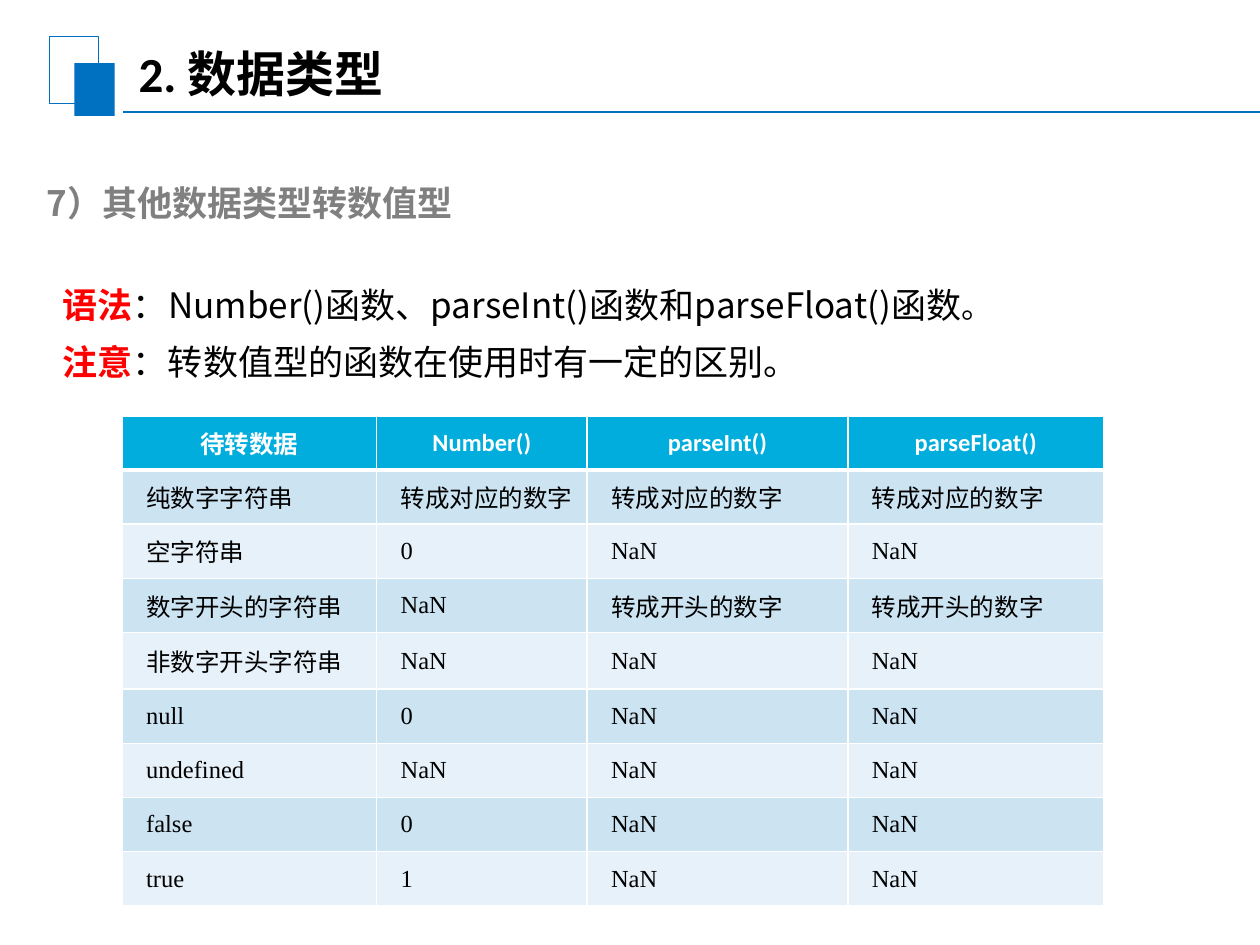
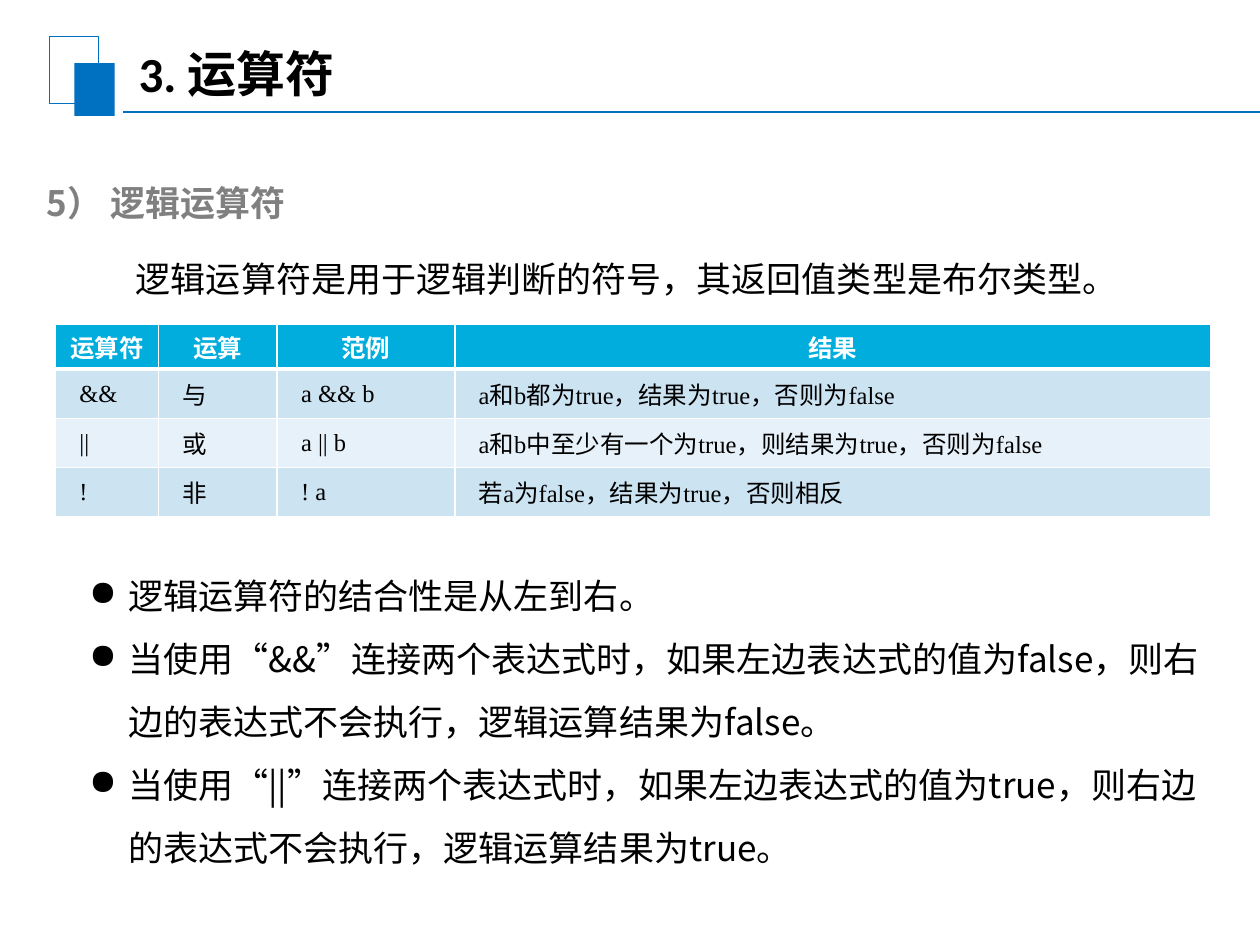
import pptx
import pptx.util
import pptx.dml.color
import pptx.enum.shapes
import pptx.enum.text
import pptx.oxml.ns
from lxml import etree

Inches = pptx.util.Inches
Pt = pptx.util.Pt
Align = pptx.enum.text.PP_ALIGN
Anchor = pptx.enum.text.MSO_ANCHOR
qn = pptx.oxml.ns.qn

HUES = {
    "blue": "0070C0", "cyan": "00ADDC", "dark": "CCE3F2", "light": "E7F1F9",
    "red": "FF0000", "gray": "808080", "black": "000000", "white": "FFFFFF",
}
SANS = "Noto Sans CJK SC"

# Text styles: font, size, colour, bold
STYLES = {
    "title": ("Calibri", 28, "black", True),
    "topic": (SANS, 20, "gray", True),
    "key": (SANS, 20, "red", True),
    "body": (SANS, 20, "black", False),
    "stop": ("Arial", 18, "black", False),
    "head": ("Calibri", 14, "white", True),
    "cell": ("Times New Roman", 14, "black", False),
}


def hue(name):
    return pptx.dml.color.RGBColor.from_string(HUES[name])


def style(run, name):
    font = run.font
    font.name, size, tint, font.bold = STYLES[name]
    font.size = Pt(size)
    font.color.rgb = hue(tint)
    etree.SubElement(font._element, qn("a:ea"), typeface=SANS)


def indent(para, left, first):
    props = para._p.get_or_add_pPr()
    props.set("marL", str(Inches(left)))
    props.set("indent", str(Inches(first)))
    return props


def add_text(slide, box, paras, space=1.0):
    """Each paragraph is a list of (text, style) pairs."""
    frame = slide.shapes.add_textbox(*map(Inches, box)).text_frame
    frame.word_wrap = True
    for i, parts in enumerate(paras):
        para = frame.add_paragraph() if i else frame.paragraphs[0]
        para.line_spacing = space
        for text, name in parts:
            run = para.add_run()
            run.text = text
            style(run, name)
    return frame


# Title band with its two squares and rule
def add_band(slide, box, title):
    x, y, w, h = box
    squares = [(0, 0, 0.39, 0.53, False), (0.2, 0.21, 0.32, 0.42, True)]
    for dx, dy, wide, high, solid in squares:
        shape = slide.shapes.add_shape(
            pptx.enum.shapes.MSO_SHAPE.RECTANGLE,
            *map(Inches, (x + dx, y + dy, wide, high)))
        shape.shadow.inherit = False
        if solid:
            shape.fill.solid()
            shape.fill.fore_color.rgb = hue("blue")
            shape.line.fill.background()
        else:
            shape.fill.background()
            shape.line.color.rgb = hue("blue")
            shape.line.width = Pt(0.75)
    rule = slide.shapes.add_connector(
        pptx.enum.shapes.MSO_CONNECTOR.STRAIGHT,
        *map(Inches, (x + 0.59, y + 0.6, x + w, y + 0.6)))
    rule.line.color.rgb = hue("blue")
    rule.line.width = Pt(1.25)
    etree.SubElement(rule._element.spPr, qn("a:effectLst"))

    frame = add_text(slide, (x + 0.58, y, 3.97, h), [[(title, "title")]])
    frame.vertical_anchor = Anchor.MIDDLE
    frame.margin_left = frame.margin_right = Inches(0.13)
    frame.margin_top = frame.margin_bottom = Inches(0.07)


def add_edges(cell, row):
    props = cell._tc.get_or_add_tcPr()
    widths = {"L": 1, "R": 1, "T": 3 if row == 1 else 1, "B": 1 if row else 3}
    for i, (side, width) in enumerate(widths.items()):
        edge = etree.Element(qn("a:ln" + side), w=str(Pt(width)))
        fill = etree.SubElement(edge, qn("a:solidFill"))
        etree.SubElement(fill, qn("a:srgbClr"), val=HUES["white"])
        props.insert(i, edge)


def add_grid(slide, spot, cols, highs, rows):
    x, y = spot
    table = slide.shapes.add_table(
        len(rows), len(cols),
        *map(Inches, (x, y, sum(cols), sum(highs)))).table
    table.horz_banding = False
    for col, wide in zip(table.columns, cols):
        col.width = Inches(wide)
    for r, (row, high) in enumerate(zip(rows, highs)):
        table.rows[r].height = Inches(high)
        for c, text in enumerate(row):
            cell = table.cell(r, c)
            cell.vertical_anchor = Anchor.MIDDLE
            cell.margin_left = cell.margin_right = Inches(0.07)
            cell.margin_top = cell.margin_bottom = 0
            cell.fill.solid()
            band = "dark" if r % 2 else "light"
            cell.fill.fore_color.rgb = hue(band if r else "cyan")
            add_edges(cell, r)
            para = cell.text_frame.paragraphs[0]
            para.text = text
            para.alignment = Align.JUSTIFY if r else Align.CENTER
            if r:
                indent(para, 0.12, 0)
            style(para.runs[0], "cell" if r else "head")


def add_list(slide, box, items):
    frame = add_text(slide, box, [[(item, "body")] for item in items], 1.5)
    for para in frame.paragraphs:
        props = indent(para, 0.31, -0.31)
        etree.SubElement(props, qn("a:buChar"), char="●")


def add_page(deck, title, topic):
    slide = deck.slides.add_slide(deck.slide_layouts[6])
    add_band(slide, (0.39, 0.29, 9.61, 0.58), title)
    add_text(slide, (0.27, 1.39, 9.22, 0.44), [[(topic, "topic")]])
    return slide


# Slide on converting other types to numbers
def add_types(deck):
    slide = add_page(deck, "2. 数据类型", "7）其他数据类型转数值型")
    add_text(slide, (0.4, 1.87, 9.19, 0.77), [[
        ("语法", "key"),
        ("：Number()函数、parseInt()函数和parseFloat()函数", "body"),
        ("。", "stop")]], 2.0)
    add_text(slide, (0.4, 2.49, 9.19, 0.55), [[
        ("注意", "key"),
        ("：转数值型的函数在使用时有一定的区别。", "body")]], 1.5)
    whole, lead = "转成对应的数字", "转成开头的数字"
    rows = [
        ("待转数据", "Number()", "parseInt()", "parseFloat()"),
        ("纯数字字符串", whole, whole, whole),
        ("空字符串", "0", "NaN", "NaN"),
        ("数字开头的字符串", "NaN", lead, lead),
        ("非数字开头字符串", "NaN", "NaN", "NaN"),
        ("null", "0", "NaN", "NaN"),
        ("undefined", "NaN", "NaN", "NaN"),
        ("false", "0", "NaN", "NaN"),
        ("true", "1", "NaN", "NaN"),
    ]
    highs = [0.43] * 4 + [0.45] + [0.43] * 4
    add_grid(slide, (0.97, 3.3), (2.02, 1.67, 2.07, 2.03), highs, rows)


# Slide on logical operators
def add_logic(deck):
    slide = add_page(deck, "3. 运算符", "5） 逻辑运算符")
    intro = "逻辑运算符是用于逻辑判断的符号，其返回值类型是布尔类型。"
    frame = add_text(slide, (0.61, 1.83, 8.39, 0.6), [[(intro, "body")]], 1.5)
    indent(frame.paragraphs[0], 0, 0.37)
    rows = [
        ("运算符", "运算", "范例", "结果"),
        ("&&", "与", "a && b", "a和b都为true，结果为true，否则为false"),
        ("||", "或", "a || b",
         "a和b中至少有一个为true，则结果为true，否则为false"),
        ("!", "非", "! a", "若a为false，结果为true，否则相反"),
    ]
    highs = [0.36] + [0.39] * 3
    add_grid(slide, (0.44, 2.57), (0.82, 0.94, 1.41, 6), highs, rows)
    add_list(slide, (0.61, 4.34, 9.16, 2.57), [
        "逻辑运算符的结合性是从左到右。",
        "当使用“&&”连接两个表达式时，如果左边表达式的值为false，"
        "则右边的表达式不会执行，逻辑运算结果为false。",
        "当使用“||”连接两个表达式时，如果左边表达式的值为true，"
        "则右边的表达式不会执行，逻辑运算结果为true。",
    ])


def main():
    deck = pptx.Presentation()
    deck.slide_width, deck.slide_height = Inches(10), Inches(7.5)
    add_types(deck)
    add_logic(deck)
    deck.save("out.pptx")


if __name__ == "__main__":
    main()
